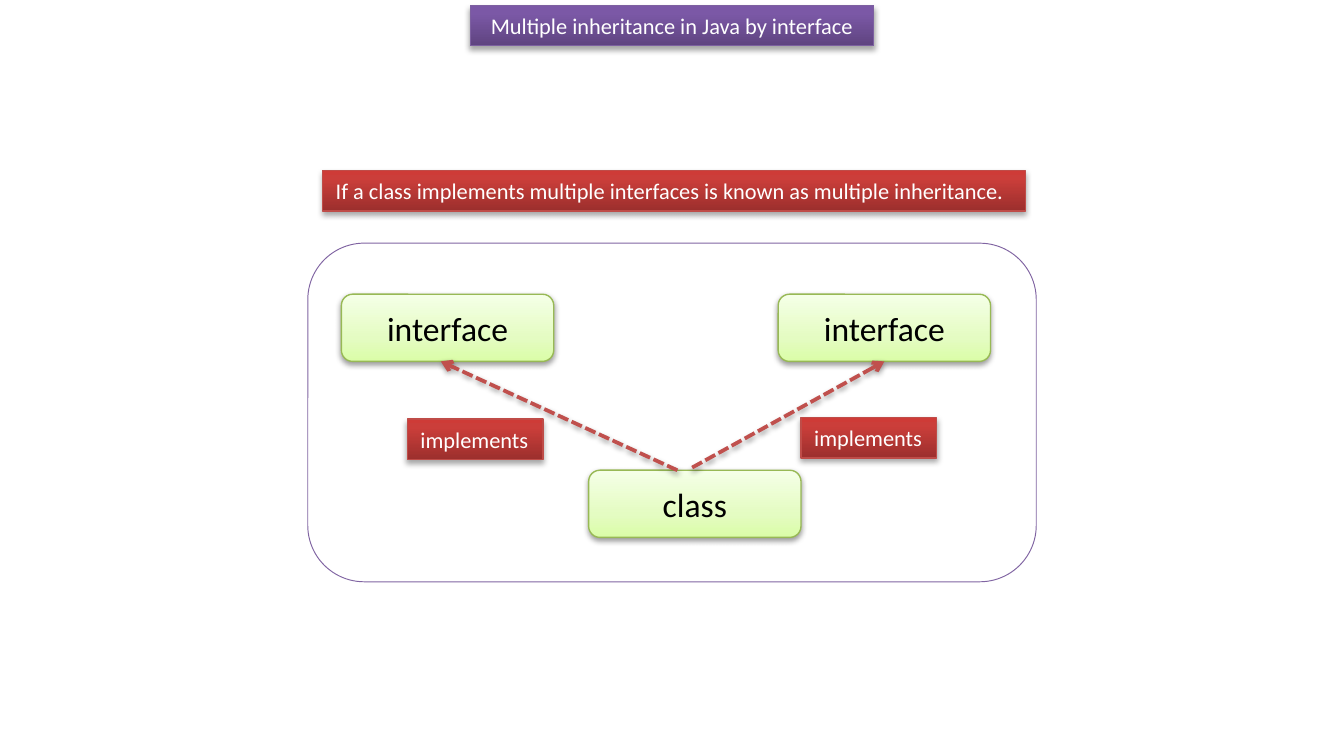
from lxml.etree import SubElement
from pptx import Presentation
from pptx.dml.color import RGBColor
from pptx.enum.dml import MSO_LINE as Dash
from pptx.enum.shapes import MSO_CONNECTOR as Connector, MSO_SHAPE as Shape
from pptx.enum.text import MSO_ANCHOR as Anchor, MSO_AUTO_SIZE as AutoSize, PP_ALIGN as Align
from pptx.oxml.ns import qn
from pptx.util import Inches, Pt

COLORS = {
    "white": "FFFFFF", "black": "000000",
    "frame_line": "8064A2", "title_line": "7D60A0",
    "type_line": "98B955", "label_line": "BF4C48", "arrow": "C0504D",
}
GRADIENTS = {
    "title": [(0, "5F4480"), (80, "7B58A6"), (100, "7C57A8")],
    "type": [(0, "DAFDA7"), (35, "E4FCC2"), (100, "F5FFE7")],
    "label": [(0, "9C2F2D"), (80, "CB3E3A"), (100, "CE3B37")],
}
TYPE_WIDTH, TYPE_HEIGHT = 1.58, 0.5
LABEL_HEIGHT = 0.3


def rgb(name):
    return RGBColor.from_string(COLORS[name])


def set_outline(line, color, width):
    line.color.rgb = rgb(color)
    line.width = Pt(width)


def set_gradient(shape, name):
    shape.fill.gradient()
    shape.fill.gradient_angle = 90
    stops = next(shape._element.spPr.iter(qn("a:gsLst")))
    for stop in list(stops):
        stops.remove(stop)
    for percent, color in GRADIENTS[name]:
        stop = SubElement(stops, qn("a:gs"), pos=str(percent * 1000))
        SubElement(stop, qn("a:srgbClr"), val=color)


def set_shadow(effects, opacity, distance):
    shadow = SubElement(effects, qn("a:outerShdw"), blurRad=str(Pt(3.1)),
                        dist=str(Pt(distance)), dir="5400000", rotWithShape="0")
    color = SubElement(shadow, qn("a:srgbClr"), val=COLORS["black"])
    SubElement(color, qn("a:alpha"), val=str(opacity * 1000))


def write_text(shape, text, size=12, color="white", align=Align.LEFT,
               anchor=Anchor.TOP, right_inset=0.1):
    frame = shape.text_frame
    frame.word_wrap = True
    frame.auto_size = AutoSize.NONE
    frame.vertical_anchor = anchor
    frame.margin_left, frame.margin_right = Inches(0.1), Inches(right_inset)
    frame.margin_top = frame.margin_bottom = Inches(0.05)
    paragraph = frame.paragraphs[0]
    paragraph.alignment = align
    run = paragraph.add_run()
    run.text = text
    run.font.name = "Calibri"
    run.font.size = Pt(size)
    run.font.color.rgb = rgb(color)


def decorate(shape, kind, opacity, distance):
    set_gradient(shape, kind)
    set_outline(shape.line, f"{kind}_line", 0.75)
    shape.shadow.inherit = False
    set_shadow(shape._element.spPr.find(qn("a:effectLst")), opacity, distance)


def add_title(slide, text):
    title = slide.shapes.title
    title.left, title.top = Inches(3.5), Inches(0.04)
    title.width, title.height = Inches(3), Inches(LABEL_HEIGHT)
    decorate(title, "title", 35, 1.8)
    write_text(title, text, align=Align.CENTER)


def add_frame(slide):
    frame = slide.shapes.add_shape(Shape.ROUNDED_RECTANGLE, Inches(2.29), Inches(1.81),
                                   Inches(5.42), Inches(2.52))
    frame.fill.solid()
    frame.fill.fore_color.rgb = rgb("white")
    set_outline(frame.line, "frame_line", 0.5)
    frame.shadow.inherit = False


def add_type(slide, text, left, top):
    box = slide.shapes.add_shape(Shape.ROUNDED_RECTANGLE, Inches(left), Inches(top),
                                 Inches(TYPE_WIDTH), Inches(TYPE_HEIGHT))
    decorate(box, "type", 38, 1.6)
    write_text(box, text, size=18, color="black", align=Align.CENTER, anchor=Anchor.MIDDLE)
    return box


def add_label(slide, text, left, top, width):
    label = slide.shapes.add_shape(Shape.RECTANGLE, Inches(left), Inches(top),
                                   Inches(width), Inches(LABEL_HEIGHT))
    decorate(label, "label", 35, 1.8)
    write_text(label, text, right_inset=0.05)


def add_arrow(slide, start, end):
    arrow = slide.shapes.add_connector(Connector.STRAIGHT, *map(Inches, start + end))
    set_outline(arrow.line, "arrow", 2)
    arrow.line.dash_style = Dash.SQUARE_DOT
    properties = arrow._element.spPr
    SubElement(properties.find(qn("a:ln")), qn("a:tailEnd"), type="arrow")
    set_shadow(SubElement(properties, qn("a:effectLst")), 38, 1.6)
    return arrow


def main():
    presentation = Presentation()
    presentation.slide_width, presentation.slide_height = Inches(10), Inches(5.5)
    slide = presentation.slides.add_slide(presentation.slide_layouts[5])

    add_title(slide, "Multiple inheritance in Java by interface")
    add_frame(slide)
    right_interface = add_type(slide, "interface", 5.79, 2.19)
    add_type(slide, "interface", 2.54, 2.19)
    add_type(slide, "class", 4.38, 3.5)

    add_arrow(slide, (5.04, 3.5), (3.28, 2.69))
    add_label(slide, "implements", 3.03, 3.12, 1.01)
    add_label(slide, "If a class implements multiple interfaces is known as multiple inheritance.",
              2.4, 1.27, 5.23)
    right_arrow = add_arrow(slide, (5.15, 3.48), (6.58, 2.69))
    right_arrow.end_connect(right_interface, 2)
    add_label(slide, "implements", 5.96, 3.11, 1.01)

    presentation.save("out.pptx")


if __name__ == "__main__":
    main()
